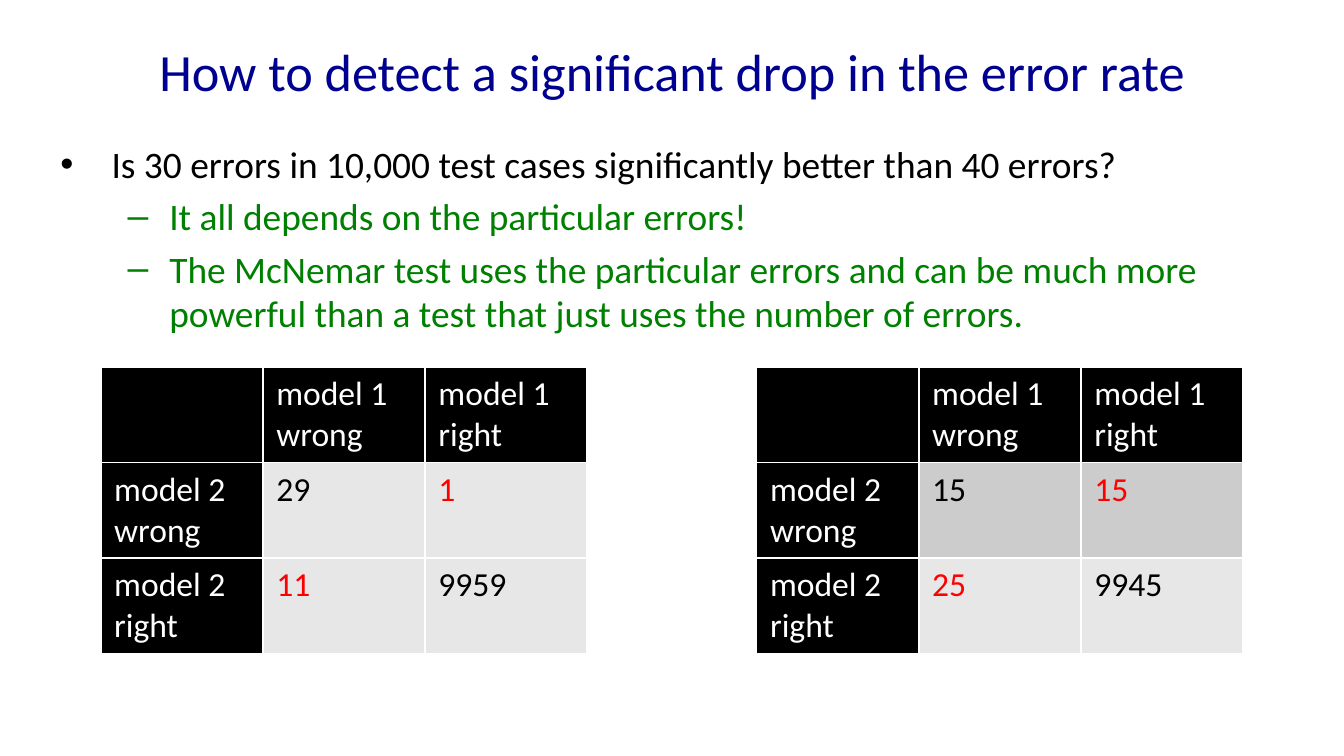
from lxml import etree
from pptx import Presentation
from pptx.dml.color import RGBColor
from pptx.enum.text import MSO_ANCHOR, MSO_AUTO_SIZE, PP_ALIGN
from pptx.oxml.ns import qn
from pptx.util import Inches, Pt

FONT = "Calibri"
NAVY = RGBColor(0x00, 0x00, 0x90)
GREEN = RGBColor(0x00, 0x80, 0x00)
RED = RGBColor(0xFF, 0x00, 0x00)
BLACK = RGBColor(0x00, 0x00, 0x00)
WHITE = RGBColor(0xFF, 0xFF, 0xFF)
LIGHT = RGBColor(0xE7, 0xE7, 0xE7)
GREY = RGBColor(0xCC, 0xCC, 0xCC)

# Widescreen slide and table grid, in inches
SLIDE_WIDTH = 10
SLIDE_HEIGHT = SLIDE_WIDTH * 9 / 16
TABLE_TOP, TABLE_WIDTH, ROW = 2.73, 3.62, 0.71
TABLE_MARGIN = 0.75
TABLE_LEFTS = (TABLE_MARGIN, SLIDE_WIDTH - TABLE_MARGIN - TABLE_WIDTH)

BULLETS = [
    (0, "Is 30 errors in 10,000 test cases significantly better than 40 errors?"),
    (1, "It all depends on the particular errors!"),
    (1, "The McNemar test uses the particular errors and can be much more "
        "powerful than a test that just uses the number of errors."),
]
# Per level: bullet, left margin, hanging indent, colour
LEVELS = [("\u2022", 0.38, 0.38, BLACK), ("\u2013", 0.81, 0.31, GREEN)]


def place(shape, left, top, width, height):
    shape.left, shape.top = Inches(left), Inches(top)
    shape.width, shape.height = Inches(width), Inches(height)


def write(paragraph, text, size, color):
    run = paragraph.add_run()
    run.text = text
    run.font.name, run.font.size, run.font.bold = FONT, Pt(size), False
    run.font.color.rgb = color


def set_bullet(paragraph, char, margin, hanging):
    props = paragraph._p.get_or_add_pPr()
    props.set("marL", str(Inches(margin)))
    props.set("indent", str(-Inches(hanging)))
    etree.SubElement(props, qn("a:buFont")).set("typeface", "Arial")
    etree.SubElement(props, qn("a:buChar")).set("char", char)


def set_borders(cell, color, width):
    props = cell._tc.get_or_add_tcPr()
    for index, side in enumerate(("lnL", "lnR", "lnT", "lnB")):
        line = etree.Element(qn("a:" + side), w=str(Pt(width)))
        fill = etree.SubElement(line, qn("a:solidFill"))
        etree.SubElement(fill, qn("a:srgbClr")).set("val", str(color))
        props.insert(index, line)


def fill_title(title, text):
    place(title, 0.5, 0.06, 9, 0.93)
    frame = title.text_frame
    frame.auto_size, frame.vertical_anchor = MSO_AUTO_SIZE.NONE, MSO_ANCHOR.MIDDLE
    frame.paragraphs[0].alignment = PP_ALIGN.CENTER
    write(frame.paragraphs[0], text, 28, NAVY)


def fill_body(body, bullets):
    place(body, 0.35, 1, 9.45, 3.71)
    frame = body.text_frame
    frame.auto_size = MSO_AUTO_SIZE.NONE
    for index, (level, text) in enumerate(bullets):
        paragraph = frame.add_paragraph() if index else frame.paragraphs[0]
        char, margin, hanging, color = LEVELS[level]
        paragraph.level = level
        paragraph.space_before = Pt(4)
        set_bullet(paragraph, char, margin, hanging)
        write(paragraph, text, 20, color)


def add_confusion_table(slide, left, counts, row_fills):
    rows = [["", "model 1 wrong", "model 1 right"],
            ["model 2 wrong", *counts[0]],
            ["model 2 right", *counts[1]]]
    table = slide.shapes.add_table(3, 3, Inches(left), Inches(TABLE_TOP),
                                   Inches(TABLE_WIDTH), Inches(3 * ROW)).table
    table.first_row = table.horz_banding = False
    for r, row in enumerate(rows):
        for c, value in enumerate(row):
            cell = table.cell(r, c)
            is_header = r == 0 or c == 0
            cell.fill.solid()
            cell.fill.fore_color.rgb = BLACK if is_header else row_fills[r - 1]
            set_borders(cell, WHITE, 1)
            # The models disagree off the diagonal
            color = WHITE if is_header else BLACK if r == c else RED
            if value:
                write(cell.text_frame.paragraphs[0], str(value), 18, color)


def main():
    deck = Presentation()
    deck.slide_width, deck.slide_height = Inches(SLIDE_WIDTH), Inches(SLIDE_HEIGHT)
    slide = deck.slides.add_slide(deck.slide_layouts[1])

    # Title and bullets
    fill_title(slide.shapes.title, "How to detect a significant drop in the error rate")
    fill_body(slide.placeholders[1], BULLETS)

    # Two ways to get 30 errors against 40
    add_confusion_table(slide, TABLE_LEFTS[0], [(29, 1), (11, 9959)], (LIGHT, LIGHT))
    add_confusion_table(slide, TABLE_LEFTS[1], [(15, 15), (25, 9945)], (GREY, LIGHT))

    deck.save("out.pptx")


main()
